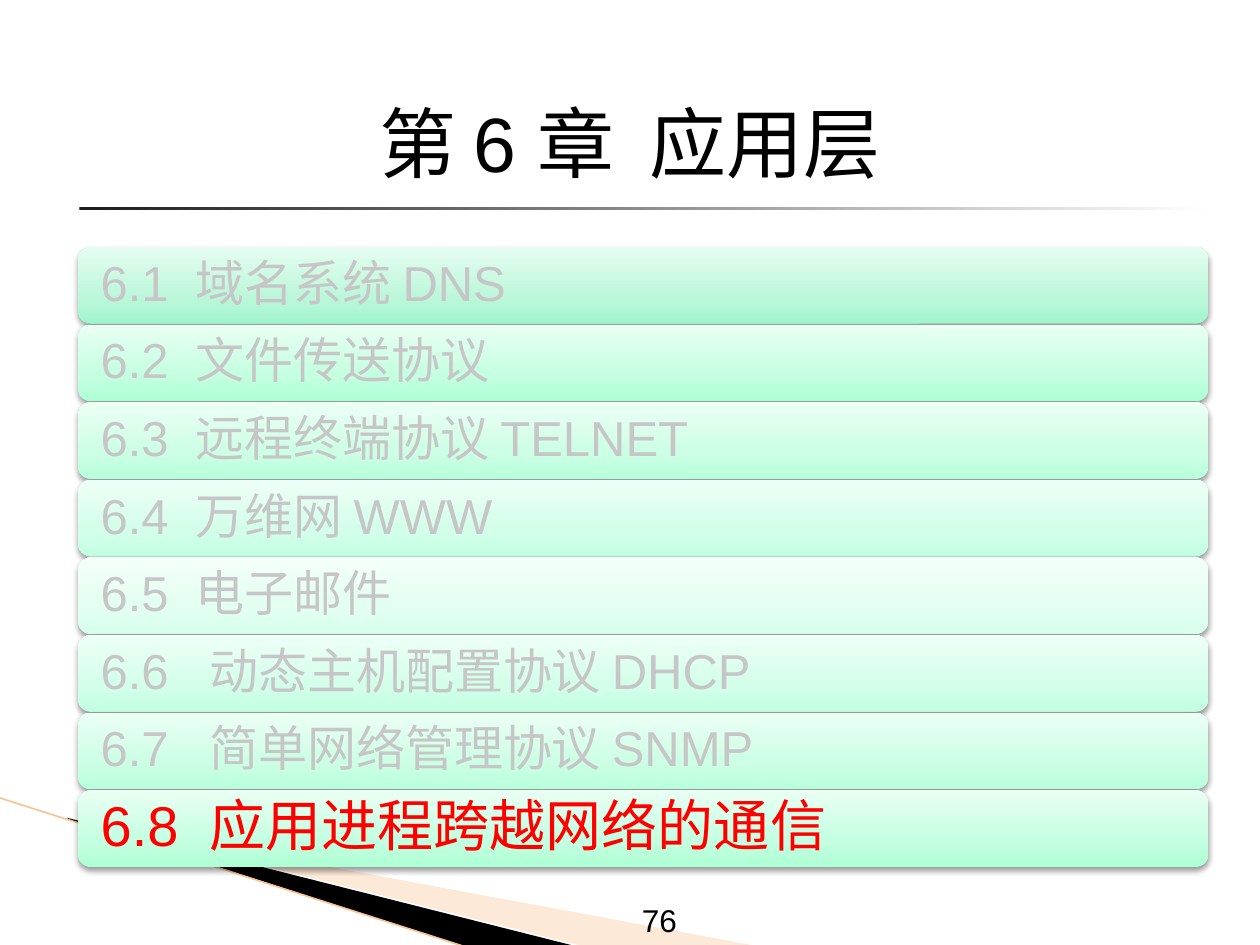
import pptx
import pptx.dml.color
import pptx.enum.shapes
import pptx.enum.text
import pptx.oxml
import pptx.oxml.ns
import pptx.util

Inches = pptx.util.Inches
Pt = pptx.util.Pt
SHAPE = pptx.enum.shapes.MSO_SHAPE
ALIGN = pptx.enum.text.PP_ALIGN
ANCHOR = pptx.enum.text.MSO_ANCHOR
qn = pptx.oxml.ns.qn
NS = pptx.oxml.ns.nsdecls("a")

MINT = ("ADFFD5", "C5FFE1", "E9FFF3")
PALE = ("B7FFDC", "CCFFE5", "ECFFF5")
PALER = ("C2FFE2", "D3FFEA", "EEFFF7")
SECTIONS = [
    ("6.1  域名系统 DNS", ("A0F6CD", "BDF7DB", "E5FDF1")),
    ("6.2  文件传送协议", MINT),
    ("6.3  远程终端协议 TELNET", PALE),
    ("6.4  万维网 WWW", PALER),
    ("6.5  电子邮件", ("D7FFEC", "E2FFF1", "F4FFF9")),
    ("6.6   动态主机配置协议 DHCP", PALER),
    ("6.7   简单网络管理协议 SNMP", PALE),
    ("6.8  应用进程跨越网络的通信", MINT),
]
CURRENT = 7  # index of the highlighted section
BAR_TOP, BAR_STEP = 1.96, 0.616


def rgb(value):
    return pptx.dml.color.RGBColor.from_string(value)


def set_text(s, text, size, color="000000", align=ALIGN.LEFT,
             anchor=ANCHOR.MIDDLE, spacing=None, inset=None):
    tf = s.text_frame
    tf.word_wrap = True
    tf.vertical_anchor = anchor
    if inset is not None:
        tf.margin_left = tf.margin_right = Inches(inset)
        tf.margin_top = tf.margin_bottom = Inches(inset)
    p = tf.paragraphs[0]
    p.alignment = align
    if spacing:
        p.line_spacing = spacing
    r = p.add_run()
    r.text = text
    r.font.name = "Arial"
    r.font.size = Pt(size)
    r.font.color.rgb = rgb(color)


def add_text(slide, text, left, top, width, height, **fmt):
    s = slide.shapes.add_textbox(Inches(left), Inches(top), Inches(width), Inches(height))
    set_text(s, text, **fmt)


def add_gradient_box(slide, kind, left, top, width, height, stops, angle):
    s = slide.shapes.add_shape(kind, Inches(left), Inches(top), Inches(width), Inches(height))
    s.shadow.inherit = False
    s.line.fill.background()
    s.fill.background()
    gs = "".join(f'<a:gs pos="{pos * 1000}"><a:srgbClr val="{color}"/></a:gs>'
                 for pos, color in stops)
    grad = pptx.oxml.parse_xml(f'<a:gradFill {NS} rotWithShape="1"><a:gsLst>{gs}</a:gsLst>'
                               f'<a:lin ang="{angle * 60000}" scaled="0"/></a:gradFill>')
    sp = s._element.spPr
    sp.replace(sp.find(qn("a:noFill")), grad)
    return s


def add_shadow(s):
    s._element.spPr.find(qn("a:effectLst")).append(pptx.oxml.parse_xml(
        f'<a:outerShdw {NS} blurRad="{Pt(3.1)}" dist="{Pt(1.6)}" dir="5400000" rotWithShape="0">'
        '<a:srgbClr val="000000"><a:alpha val="38000"/></a:srgbClr></a:outerShdw>'))


def add_wedge(slide, points, color, opacity=None):
    corners = [(Inches(x), Inches(y)) for x, y in points]
    builder = slide.shapes.build_freeform(*corners[0])
    builder.add_line_segments(corners[1:])
    s = builder.convert_to_shape()
    s.shadow.inherit = False
    s.line.fill.background()
    s.fill.solid()
    s.fill.fore_color.rgb = rgb(color)
    if opacity:
        clr = s._element.spPr.find(qn("a:solidFill")).find(qn("a:srgbClr"))
        clr.append(pptx.oxml.parse_xml(f'<a:alpha {NS} val="{opacity * 1000}"/>'))


def add_line(slide, x1, y1, x2, y2, color, width):
    s = slide.shapes.add_connector(pptx.enum.shapes.MSO_CONNECTOR.STRAIGHT,
                                   Inches(x1), Inches(y1), Inches(x2), Inches(y2))
    s.line.color.rgb = rgb(color)
    s.line.width = Pt(width)
    s._element.spPr.append(pptx.oxml.parse_xml(f"<a:effectLst {NS}/>"))


def add_section(slide, index, text, colors):
    s = add_gradient_box(slide, SHAPE.ROUNDED_RECTANGLE, 0.62, BAR_TOP + index * BAR_STEP,
                         8.97, 0.61, list(zip((0, 35, 100), colors)), 270)
    add_shadow(s)
    size, color = (32, "FF0000") if index == CURRENT else (28, "C6C6C6")
    set_text(s, text, size=size, color=color, spacing=0.9, inset=0.15)


def main():
    prs = pptx.Presentation()
    prs.slide_width, prs.slide_height = Inches(10), Inches(7.5)
    slide = prs.slides.add_slide(prs.slide_layouts[6])

    # Rule under the title and corner decoration
    add_gradient_box(slide, SHAPE.RECTANGLE, 0.63, 1.64, 9, 0.03,
                     [(0, "1C1C1C"), (100, "FFFFFF")], 0)
    add_wedge(slide, [(0.62, 6.51), (6.02, 7.51), (4.63, 7.51), (0.62, 6.5)], "FBC99E", 40)
    add_wedge(slide, [(0.53, 6.49), (4.57, 7.51), (3.72, 7.52), (0.54, 6.5)], "000000")
    add_line(slide, -0.01, 6.33, 3.71, 7.52, "F9C495", 0.95)

    # Title
    add_text(slide, "第 6 章  应用层", 1.25, 0.7, 7.5, 0.84,
             size=44, align=ALIGN.CENTER, anchor=ANCHOR.BOTTOM)

    # Section list
    for index, (text, colors) in enumerate(SECTIONS):
        add_section(slide, index, text, colors)

    # Page number
    add_text(slide, "76", 4.84, 7.03, 0.63, 0.47,
             size=18, align=ALIGN.RIGHT, anchor=ANCHOR.BOTTOM)

    prs.save("out.pptx")


if __name__ == "__main__":
    main()
